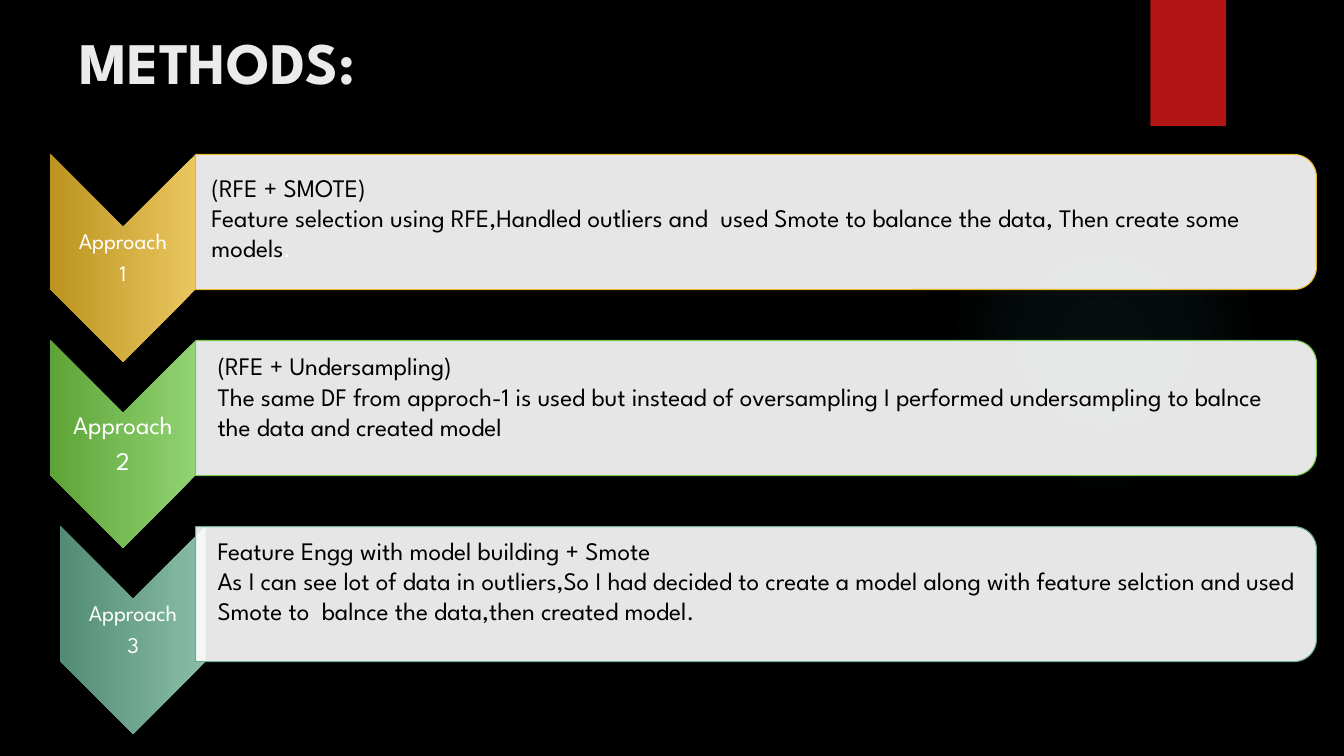
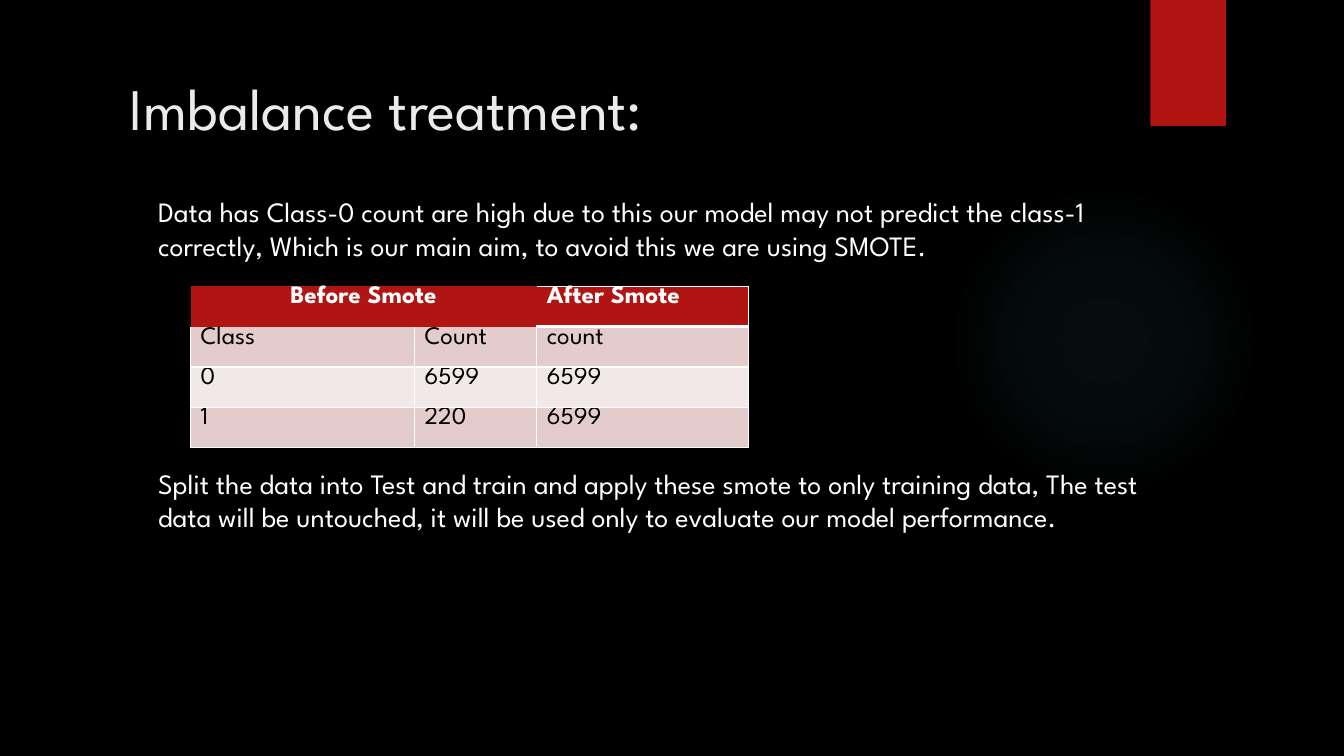
"""Build two slides on modelling approaches and class imbalance treatment."""
from pptx import Presentation
from pptx.dml.color import RGBColor
from pptx.enum.shapes import MSO_SHAPE
from pptx.enum.text import MSO_ANCHOR, PP_ALIGN
from pptx.oxml import parse_xml
from pptx.oxml.ns import nsdecls, qn
from pptx.util import Pt

CHEVRON = MSO_SHAPE.CHEVRON
PANEL = MSO_SHAPE.ROUND_2_SAME_RECTANGLE
OVAL = MSO_SHAPE.OVAL
RECTANGLE = MSO_SHAPE.RECTANGLE
MIDDLE = MSO_ANCHOR.MIDDLE
CENTER = PP_ALIGN.CENTER
FONT = "League Spartan"
COLORS = {
    "black": "000000", "white": "FFFFFF", "title": "EBEBEB",
    "red": "B01513", "glow": "50B9C1",
    "band_dark": "E4CCCC", "band_light": "F2E8E7",
}
RGB = {name: RGBColor.from_string(value) for name, value in COLORS.items()}


def add_shape(slide, kind, box):
    shape = slide.shapes.add_shape(kind, *map(Pt, box))
    shape.shadow.inherit = False
    shape.line.fill.background()
    return shape


def add_text(slide, box, lines, size, color, bold=False):
    frame = slide.shapes.add_textbox(*map(Pt, box)).text_frame
    frame.word_wrap = True
    frame.text = "\n".join(lines)
    for paragraph in frame.paragraphs:
        for run in paragraph.runs:
            run.font.name = FONT
            run.font.size = Pt(size)
            run.font.bold = bold
            run.font.color.rgb = RGB[color]
    return frame


prs = Presentation()
prs.slide_width, prs.slide_height = Pt(960), Pt(540)

titles = [
    ("METHODS:", (49.7, 15.1, 741.6, 72.7), True),
    ("Imbalance treatment:", (85.7, 47.5, 702, 70.6), False),
]
glow_stops = [(0, 7), (36, 6), (69, 0)]
stops_xml = "".join(
    f'<a:gs pos="{pos * 1000}"><a:srgbClr val="{COLORS["glow"]}">'
    f'<a:alpha val="{alpha * 1000}"/></a:srgbClr></a:gs>'
    for pos, alpha in glow_stops)

for title, title_box, title_bold in titles:
    slide = prs.slides.add_slide(prs.slide_layouts[6])
    slide.background.fill.solid()
    slide.background.fill.fore_color.rgb = RGB["black"]
    glow = add_shape(slide, OVAL, (677.5, 131.8, 221.8, 221.8))
    glow._element.spPr.insert(2, parse_xml(
        f'<a:gradFill {nsdecls("a")}><a:gsLst>{stops_xml}</a:gsLst>'
        '<a:path path="circle"><a:fillToRect l="50000" t="50000" '
        'r="50000" b="50000"/></a:path></a:gradFill>'))
    ribbon = add_shape(slide, RECTANGLE, (821.8, 0, 54, 90))
    ribbon.fill.solid()
    ribbon.fill.fore_color.rgb = RGB["red"]
    add_text(slide, title_box, [title], 42, "title", title_bold)

methods, imbalance = prs.slides

approaches = [
    {"gradient": ("EBC65F", "BB941F"), "outline": "E6B729", "shift": 0,
     "label_size": 16, "text_box": (144, 119.5, 792, 94.3),
     "text": ["(RFE + SMOTE)",
              "Feature selection using RFE,Handled outliers and  used Smote to "
              "balance the data, Then create some models"]},
    {"gradient": ("91D372", "5DA438"), "outline": "75C94A", "shift": 0,
     "label_size": 18, "text_box": (148.3, 247, 765.4, 94.3),
     "text": ["(RFE + Undersampling)",
              "The same DF from approch-1 is used but instead of oversampling "
              "I performed undersampling to balnce the data and created model"]},
    {"gradient": ("89BDA7", "538C74"), "outline": "6AAC90", "shift": 7.2,
     "label_size": 16, "text_box": (148.3, 378.7, 792, 72.7),
     "text": ["Feature Engg with model building + Smote",
              "As I can see lot of data in outliers,So I had decided to create "
              "a model along with feature selction and used Smote to  balnce "
              "the data,then created model."]},
]
PITCH = 132.9
approach_frames = []
for index, approach in enumerate(approaches):
    drop, shift = index * PITCH, approach["shift"]
    chevron = add_shape(methods, CHEVRON, (13.7 + shift, 132.5 + drop, 148.3, 103.7))
    chevron.rotation = 90
    chevron.fill.gradient()
    chevron.fill.gradient_angle = 270
    for stop, color in zip(chevron.fill.gradient_stops, approach["gradient"]):
        stop.color.rgb = RGBColor.from_string(color)

    label = add_text(methods, (36 + shift, 162 + drop, 103.7, 44.6),
                     ["Approach", str(index + 1)], approach["label_size"], "white")
    label.vertical_anchor = MIDDLE
    label.margin_left = label.margin_right = Pt(0.7)
    label.margin_top = label.margin_bottom = Pt(0.7)
    for paragraph in label.paragraphs:
        paragraph.alignment = CENTER
        paragraph.line_spacing = 0.9
        paragraph.space_after = Pt(approach["label_size"] * 0.35)

    panel = add_shape(methods, PANEL, (491.8, -241.7 + drop, 96.5, 800.6))
    panel.rotation = 90
    panel.fill.solid()
    panel.fill.fore_color.rgb = RGB["white"]
    panel_color = panel._element.spPr.find(qn("a:solidFill"))[0]
    panel_color.append(parse_xml(f'<a:alpha {nsdecls("a")} val="90000"/>'))
    panel.line.color.rgb = RGBColor.from_string(approach["outline"])
    panel.line.width = Pt(0.75)
    approach_frames.append(
        add_text(methods, approach["text_box"], approach["text"], 18, "black"))

full_stop = approach_frames[0].paragraphs[1].add_run()
full_stop.text = "."
full_stop.font.name = FONT
full_stop.font.size = Pt(18)
full_stop.font.color.rgb = RGB["white"]

add_text(imbalance, (105.8, 135.4, 740.2, 60),
         ["Data has Class-0 count are high due to this our model may not predict "
          "the class-1 correctly, Which is our main aim, to avoid this we are "
          "using SMOTE."], 20, "white")
add_text(imbalance, (105.8, 329.4, 740.2, 60),
         ["Split the data into Test and train and apply these smote to only "
          "training data, The test data will be untouched, it will be used only "
          "to evaluate our model performance."], 20, "white")

counts = [
    ("Before Smote", "", "After Smote"),
    ("Class", "Count", "count"),
    ("0", "6599", "6599"),
    ("1", "220", "6599"),
]
row_fills = ["red", "band_dark", "band_light", "band_dark"]
smote_table = imbalance.shapes.add_table(
    4, 3, Pt(136.1), Pt(204.5), Pt(398.5), Pt(115.2)).table
for column, width in zip(smote_table.columns, (160, 87.3, 151.2)):
    column.width = Pt(width)
smote_table.cell(0, 0).merge(smote_table.cell(0, 1))

for row, values in enumerate(counts):
    smote_table.rows[row].height = Pt(28.8)
    for col, value in enumerate(values):
        cell = smote_table.cell(row, col)
        cell.margin_top = cell.margin_bottom = 0
        borders = {"L": 1, "R": 1, "T": 1, "B": 1}
        if row == 0:
            borders = {"L": 0, "R": 1, "T": 1, "B": 3} if col == 2 else dict.fromkeys("LRTB", 0)
        elif row == 1:
            borders["T"] = 3 if col == 2 else 0
        for side, width in borders.items():
            line_fill = (f'<a:solidFill><a:srgbClr val="{COLORS["white"]}"/></a:solidFill>'
                         if width else "<a:noFill/>")
            cell._tc.get_or_add_tcPr().append(parse_xml(
                f'<a:ln{side} {nsdecls("a")} w="{Pt(width)}">{line_fill}</a:ln{side}>'))
        cell.fill.solid()
        cell.fill.fore_color.rgb = RGB[row_fills[row]]
        if not value:
            continue
        cell.text_frame.text = value
        font = cell.text_frame.paragraphs[0].runs[0].font
        font.name = FONT
        font.size = Pt(18)
        font.bold = row == 0
        font.color.rgb = RGB["white" if row == 0 else "black"]
smote_table.cell(0, 0).text_frame.paragraphs[0].alignment = CENTER

prs.save("out.pptx")
